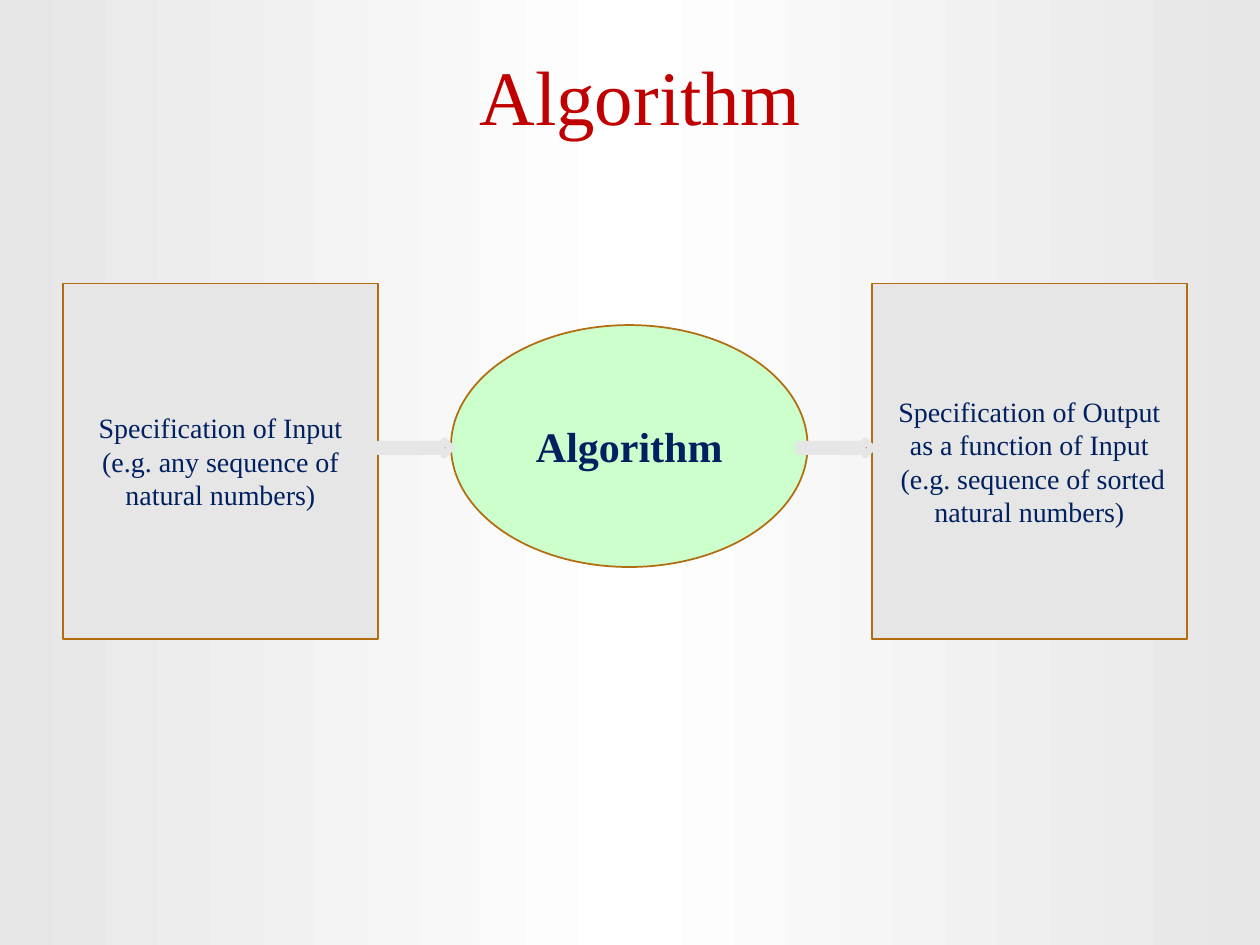
from copy import deepcopy
from dataclasses import dataclass

from pptx import Presentation
from pptx.dml.color import RGBColor
from pptx.enum.shapes import MSO_SHAPE
from pptx.enum.text import MSO_ANCHOR, PP_ALIGN
from pptx.slide import Slide
from pptx.text.text import TextFrame
from pptx.util import Inches, Pt

COLORS = {
    "title": "C00000",
    "text": "002060",
    "outline": "B26D10",
    "process": "CCFFCC",
    "spec": "E6E6E6",
    "arrow": "9D360E",
    "edge": "E7E6E6",
    "middle": "FFFFFF",
}
FONT = "Times New Roman"
SPEC_TOP, SPEC_WIDTH, SPEC_HEIGHT = 2.25, 2.5, 2.82
ARROW_TOP, ARROW_WIDTH, ARROW_HEIGHT = 3.5, 0.58, 0.11


@dataclass
class Part:
    kind: MSO_SHAPE
    left: float
    top: float
    width: float
    height: float
    fill: str
    line: str = "outline"
    line_width: float = 1
    text: str = ""
    size: int = 16
    bold: bool = False


def color(name: str) -> RGBColor:
    return RGBColor.from_string(COLORS[name])


def write(frame: TextFrame, text: str, *, size: int, ink: str = "text",
          bold: bool = False) -> None:
    frame.word_wrap = True
    frame.vertical_anchor = MSO_ANCHOR.MIDDLE
    paragraph = frame.paragraphs[0]
    paragraph.text = text
    paragraph.alignment = PP_ALIGN.CENTER
    for run in paragraph.runs:
        run.font.name = FONT
        run.font.size = Pt(size)
        run.font.bold = bold
        run.font.color.rgb = color(ink)


def draw(slide: Slide, part: Part) -> None:
    box = map(Inches, (part.left, part.top, part.width, part.height))
    shape = slide.shapes.add_shape(part.kind, *box)
    shape.shadow.inherit = False
    shape.fill.solid()
    shape.fill.fore_color.rgb = color(part.fill)
    shape.line.color.rgb = color(part.line)
    shape.line.width = Pt(part.line_width)
    if part.text:
        write(shape.text_frame, part.text, size=part.size, bold=part.bold)


def paint_background(slide: Slide) -> None:
    fill = slide.background.fill
    fill.gradient()
    fill.gradient_angle = 180
    # The default gradient has two stops; a third one makes the bright middle
    stop_list = slide.element.xpath(".//p:bg//a:gsLst")[0]
    stop_list.append(deepcopy(stop_list[0]))
    stops = ((0, "edge"), (0.5, "middle"), (1, "edge"))
    for stop, (position, name) in zip(fill.gradient_stops, stops):
        stop.position = position
        stop.color.rgb = color(name)


def spec(left: float, text: str) -> Part:
    return Part(MSO_SHAPE.RECTANGLE, left, SPEC_TOP, SPEC_WIDTH, SPEC_HEIGHT,
                "spec", text=text)


def arrow(left: float) -> Part:
    return Part(MSO_SHAPE.RIGHT_ARROW, left, ARROW_TOP, ARROW_WIDTH,
                ARROW_HEIGHT, "arrow", line="spec", line_width=4)


def main() -> None:
    deck = Presentation()
    deck.slide_width, deck.slide_height = Inches(10), Inches(7.5)
    slide = deck.slides.add_slide(deck.slide_layouts[5])
    paint_background(slide)

    # Title
    title = slide.shapes.title
    title.left, title.top = Inches(0.83), Inches(0.33)
    title.width, title.height = Inches(8.5), Inches(0.84)
    write(title.text_frame, "Algorithm", size=44, ink="title")

    # Input, algorithm and output, joined by block arrows
    input_left, output_left = 0.5, 6.92
    flow = (
        Part(MSO_SHAPE.OVAL, 3.58, 2.58, 2.83, 1.92, "process",
             text="Algorithm", size=24, bold=True),
        spec(input_left, "Specification of Input\n"
                         "(e.g. any sequence of natural numbers)"),
        spec(output_left, "Specification of Output as a function of Input\n"
                          " (e.g. sequence of sorted natural numbers)"),
        arrow(input_left + SPEC_WIDTH),
        arrow(output_left - ARROW_WIDTH),
    )
    for part in flow:
        draw(slide, part)

    deck.save("out.pptx")


if __name__ == "__main__":
    main()
